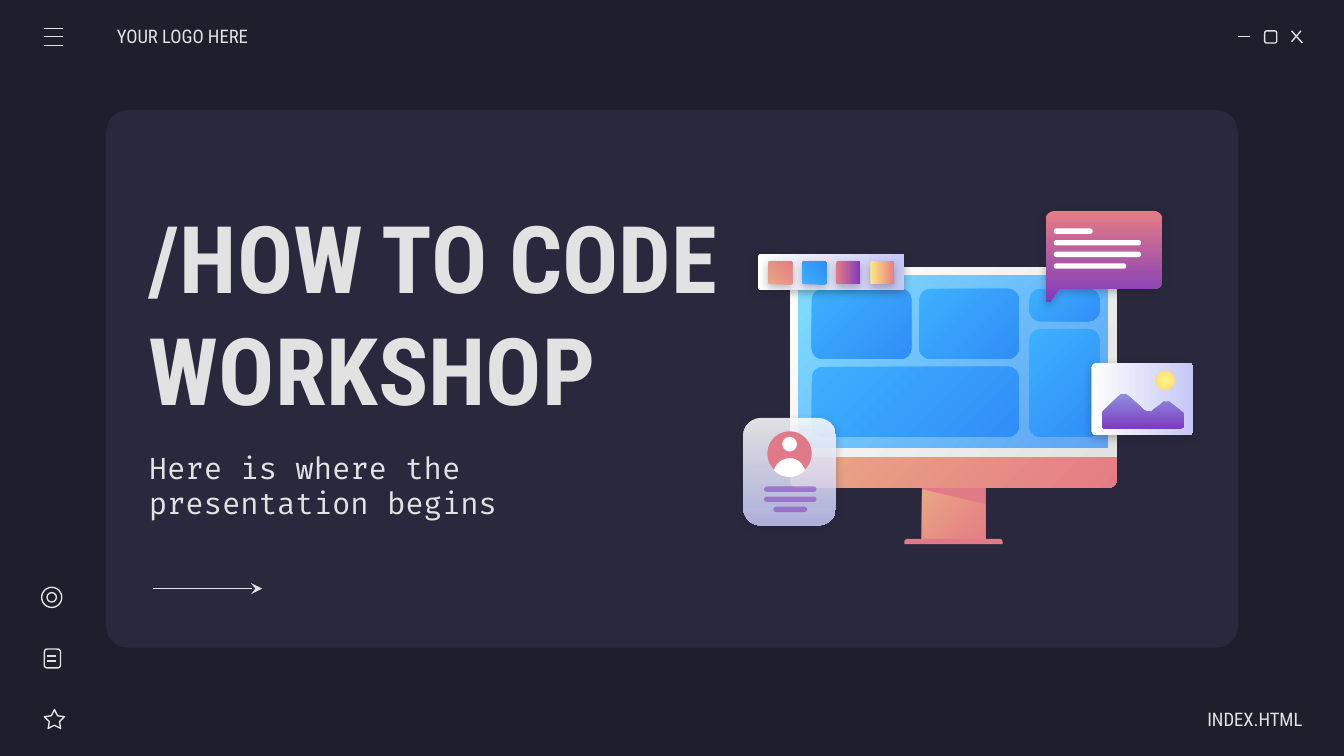
"""Build the opening slide of a coding workshop with a desktop illustration."""
from lxml.etree import SubElement
from pptx import Presentation
from pptx.dml.color import RGBColor
from pptx.enum.shapes import MSO_CONNECTOR, MSO_SHAPE
from pptx.enum.text import MSO_ANCHOR, PP_ALIGN
from pptx.oxml.ns import qn
from pptx.util import Inches, Pt

ROUND = MSO_SHAPE.ROUNDED_RECTANGLE
CAP = MSO_SHAPE.ROUND_2_SAME_RECTANGLE
RECT = MSO_SHAPE.RECTANGLE
OVAL = MSO_SHAPE.OVAL
STAR = MSO_SHAPE.STAR_5_POINT
LINE = MSO_CONNECTOR.STRAIGHT
MID = MSO_ANCHOR.MIDDLE
LEFT, RIGHT = PP_ALIGN.LEFT, PP_ALIGN.RIGHT


class Theme:
    night, panel, pale = "1E1E2C", "29283D", "E2E2E2"
    white, rose, plum = "FFFFFF", "E07A88", "7E3BBE"
    peach = (45, "E9A984", "E57C85")
    blue = (45, "3DB0FD", "308EF7")
    glow = (45, "80DFFF", "318FFA")
    frame = (45, white, pale)
    dusk = (90, "E57C85", plum)
    dawn = (90, "FFEA7D", "E57C85")
    mist = (90, white, "C5C7F4")
    hill = (90, "8D90E1", plum)
    sun = (None, "FFF68E", "FFD966")
    head, mono = "Roboto Condensed", "Fira Code"
    big, mid, small = 50, 16, 10
    thin = 0.75


def draw(host, form, box, paint=None, adj=(), alpha=(), turn=0, shade=False):
    """Add a preset, or an outline of points and Bézier triples, and style it."""
    if isinstance(form, list):
        spots = [form[0]]
        for move in form[1:]:
            if len(move) == 2:
                spots.append(move)
                continue
            a, b, c, d = spots[-1], move[:2], move[2:4], move[4:]
            for step in range(1, 9):
                t = step / 8
                mix = ((1 - t) ** 3, 3 * t * (1 - t) ** 2, 3 * t * t * (1 - t), t ** 3)
                spots.append(tuple(sum(m * p[k] for m, p in zip(mix, (a, b, c, d))) for k in (0, 1)))
        spots = [(Inches(x), Inches(y)) for x, y in spots]
        pen = host.build_freeform(*spots[0], scale=1.0)
        pen.add_line_segments(spots[1:], close=True)
        shape = pen.convert_to_shape()
    else:
        shape = host.add_shape(form, *map(Inches, box))
        for i, value in enumerate(adj):
            shape.adjustments[i] = value
    shape.rotation = turn
    shape.shadow.inherit = False
    props = shape._element.spPr
    if paint is None:
        shape.fill.background()
        shape.line.color.rgb = RGBColor.from_string(Theme.pale)
        shape.line.width = Pt(Theme.thin)
        return
    shape.line.fill.background()
    if isinstance(paint, str):
        shape.fill.solid()
        shape.fill.fore_color.rgb = RGBColor.from_string(paint)
    else:
        angle, *tints = paint
        shape.fill.gradient()
        for stop, tint, place in zip(shape.fill.gradient_stops, tints, (0, 1)):
            stop.color.rgb = RGBColor.from_string(tint)
            stop.position = place
        if angle is None:
            grad = props.find(qn("a:gradFill"))
            grad.remove(grad.find(qn("a:lin")))
            ring = SubElement(grad, qn("a:path"), path="circle")
            SubElement(ring, qn("a:fillToRect"), l="50000", t="50000", r="50000", b="50000")
        else:
            shape.fill.gradient_angle = 360 - angle
    for node, part in zip(props.iter(qn("a:srgbClr")), alpha):
        SubElement(node, qn("a:alpha"), val=str(part * 1000))
    if shade:
        cast = SubElement(props.find(qn("a:effectLst")), qn("a:outerShdw"), blurRad=str(Pt(4.5)),
                          dist=str(Pt(1.5)), dir="5400000", algn="bl", rotWithShape="0")
        tone = SubElement(cast, qn("a:srgbClr"), val=Theme.night)
        SubElement(tone, qn("a:alpha"), val="30000")


def rule(host, x1, y1, x2, y2):
    """Add a thin pale line and return it."""
    line = host.add_connector(LINE, *map(Inches, (x1, y1, x2, y2)))
    line.line.color.rgb = RGBColor.from_string(Theme.pale)
    line.line.width = Pt(Theme.thin)
    SubElement(line._element.spPr, qn("a:effectLst"))
    return line


deck = Presentation()
deck.slide_width = Inches(10)
deck.slide_height = Inches(10 * 9 / 16)
slide = deck.slides.add_slide(deck.slide_layouts[6])
slide.background.fill.solid()
slide.background.fill.fore_color.rgb = RGBColor.from_string(Theme.night)
main = slide.shapes
draw(main, ROUND, (0.79, 0.82, 8.42, 4), Theme.panel, (0.04,))

tools = main.add_group_shape().shapes
rule(tools, 9.21, 0.27, 9.3, 0.27)
draw(tools, ROUND, (9.41, 0.23, 0.09, 0.09))
rule(tools, 9.61, 0.23, 9.69, 0.32)
rule(tools, 9.68, 0.23, 9.61, 0.31)

texts = [
    ("Here is where the presentation begins", (1.01, 3.38, 3.24, 0.46), Theme.mono, Theme.mid, LEFT, 0.1, 0.1),
    ("YOUR LOGO HERE", (0.87, 0.12, 1.17, 0.3), Theme.head, Theme.small, LEFT, 0, 0.1),
    ("/HOW TO CODE WORKSHOP", (1.01, 1.44, 4.47, 1.76), Theme.head, Theme.big, LEFT, 0.1, 0.1),
    ("INDEX.HTML", (8.52, 5.2, 1.17, 0.3), Theme.head, Theme.small, RIGHT, 0.1, 0),
]
for words, box, face, size, side, west, east in texts:
    frame = main.add_textbox(*map(Inches, box)).text_frame
    frame.word_wrap = True
    frame.vertical_anchor = MID
    frame.margin_left, frame.margin_right = Inches(west), Inches(east)
    frame.margin_top = frame.margin_bottom = Inches(0.1)
    frame.text = words
    para = frame.paragraphs[0]
    para.alignment = side
    font = para.runs[0].font
    font.name, font.size, font.bold = face, Pt(size), size == Theme.big
    font.color.rgb = RGBColor.from_string(Theme.pale)

screen = main.add_group_shape().shapes
draw(screen, RECT, (6.86, 3.61, 0.47, 0.43), Theme.peach)
draw(screen, CAP, (6.73, 4.01, 0.73, 0.04), Theme.rose, (0.5, 0))
draw(screen, [(6.86, 3.61), (6.86, 3.64), (7.33, 3.75), (7.33, 3.61)], None, Theme.rose)
draw(screen, CAP, (5.88, 3.39, 2.43, 0.24), Theme.peach, (0, 0.25))
draw(screen, CAP, (5.88, 1.99, 2.43, 1.41), Theme.frame, (0.04, 0))
draw(screen, RECT, (5.94, 2.05, 2.3, 1.28), Theme.glow, alpha=(100, 72))
tiles = [(6.04, 2.15, 0.74, 0.52), (6.04, 2.73, 1.54, 0.52), (6.84, 2.15, 0.74, 0.52),
         (7.66, 2.15, 0.52, 0.24), (7.66, 2.45, 0.52, 0.8)]
for tile in tiles:
    draw(screen, ROUND, tile, Theme.blue, (0.08 / min(tile[2:]),))

chat = main.add_group_shape().shapes
bubble = [(7.85, 1.57), (7.81, 1.57, 7.78, 1.6, 7.78, 1.64), (7.78, 2.24),
          (7.78, 2.25, 7.79, 2.25, 7.8, 2.25), (7.81, 2.25), (7.88, 2.15), (8.59, 2.15),
          (8.62, 2.15, 8.65, 2.12, 8.65, 2.09), (8.65, 1.64), (8.65, 1.6, 8.62, 1.57, 8.59, 1.57)]
draw(chat, bubble, None, Theme.dusk, shade=True)
for i, wide in enumerate((0.29, 0.65, 0.65, 0.54)):
    draw(chat, ROUND, (7.84, 1.7 + 0.26 * i / 3, wide, 0.04), Theme.white, (0.5,))

menu = main.add_group_shape().shapes
for y in (0.21, 0.34, 0.27):
    rule(menu, 0.33, y, 0.47, y)

card = main.add_group_shape().shapes
draw(card, ROUND, (5.53, 3.11, 0.69, 0.8), Theme.mist, (0.19,), (86, 86), shade=True)
draw(card, OVAL, (5.71, 3.21, 0.33, 0.33), Theme.rose)
draw(card, OVAL, (5.82, 3.25, 0.11, 0.11), Theme.white)
bust = [(5.88, 3.41), (5.82, 3.41, 5.77, 3.45, 5.76, 3.5), (5.79, 3.53, 5.83, 3.55, 5.88, 3.55),
        (5.92, 3.55, 5.96, 3.53, 5.99, 3.5), (5.98, 3.45, 5.93, 3.41, 5.88, 3.41)]
draw(card, bust, None, Theme.white)
for i, wide in enumerate((0.39, 0.39, 0.25)):
    draw(card, ROUND, (5.88 - wide / 2, 3.62 + 0.15 * i / 2, wide, 0.04), Theme.plum, (0.5,), (54,))

photo = main.add_group_shape().shapes
draw(photo, ROUND, (8.23, 2.59, 0.54, 0.76), Theme.mist, (0.07,), turn=270, shade=True)
hills = [(8.36, 2.93), (8.35, 2.93, 8.34, 2.93, 8.33, 2.94), (8.21, 3.06),
         (8.2, 3.07, 8.2, 3.07, 8.2, 3.08), (8.2, 3.16), (8.2, 3.18, 8.21, 3.19, 8.23, 3.19),
         (8.77, 3.19), (8.79, 3.19, 8.81, 3.18, 8.81, 3.16), (8.81, 3.09),
         (8.81, 3.08, 8.8, 3.07, 8.8, 3.07), (8.7, 2.99), (8.69, 2.99, 8.68, 2.99, 8.67, 2.99),
         (8.66, 2.99, 8.65, 2.99, 8.65, 3), (8.57, 3.06), (8.56, 3.06, 8.55, 3.06, 8.54, 3.06),
         (8.53, 3.06, 8.52, 3.06, 8.51, 3.05), (8.39, 2.94), (8.38, 2.93, 8.37, 2.93, 8.36, 2.93)]
draw(photo, hills, None, Theme.hill)
draw(photo, OVAL, (8.6, 2.76, 0.14, 0.14), Theme.sun)

strip = main.add_group_shape().shapes
draw(strip, ROUND, (6.05, 1.48, 0.27, 1.09), Theme.mist, (0.07,), turn=270, shade=True)
for i, paint in enumerate((Theme.peach, Theme.blue, Theme.dusk, Theme.dawn)):
    draw(strip, ROUND, (5.72 + 0.76 * i / 3, 1.94, 0.17, 0.18), paint, (0.07,), turn=270, shade=True)

icons = main.add_group_shape().shapes
draw(icons, STAR, (0.33, 5.28, 0.15, 0.14), adj=(0.25, 1.05, 1.11))
draw(icons, ROUND, (0.33, 4.83, 0.12, 0.14))
for y in (4.88, 4.92):
    rule(icons, 0.35, y, 0.42, y)
draw(icons, OVAL, (0.31, 4.37, 0.15, 0.15))
draw(icons, OVAL, (0.35, 4.41, 0.07, 0.07))

arrow = rule(main, 1.14, 4.38, 1.95, 4.38)
SubElement(arrow._element.spPr.find(qn("a:ln")), qn("a:tailEnd"), type="stealth")
deck.save("out.pptx")
